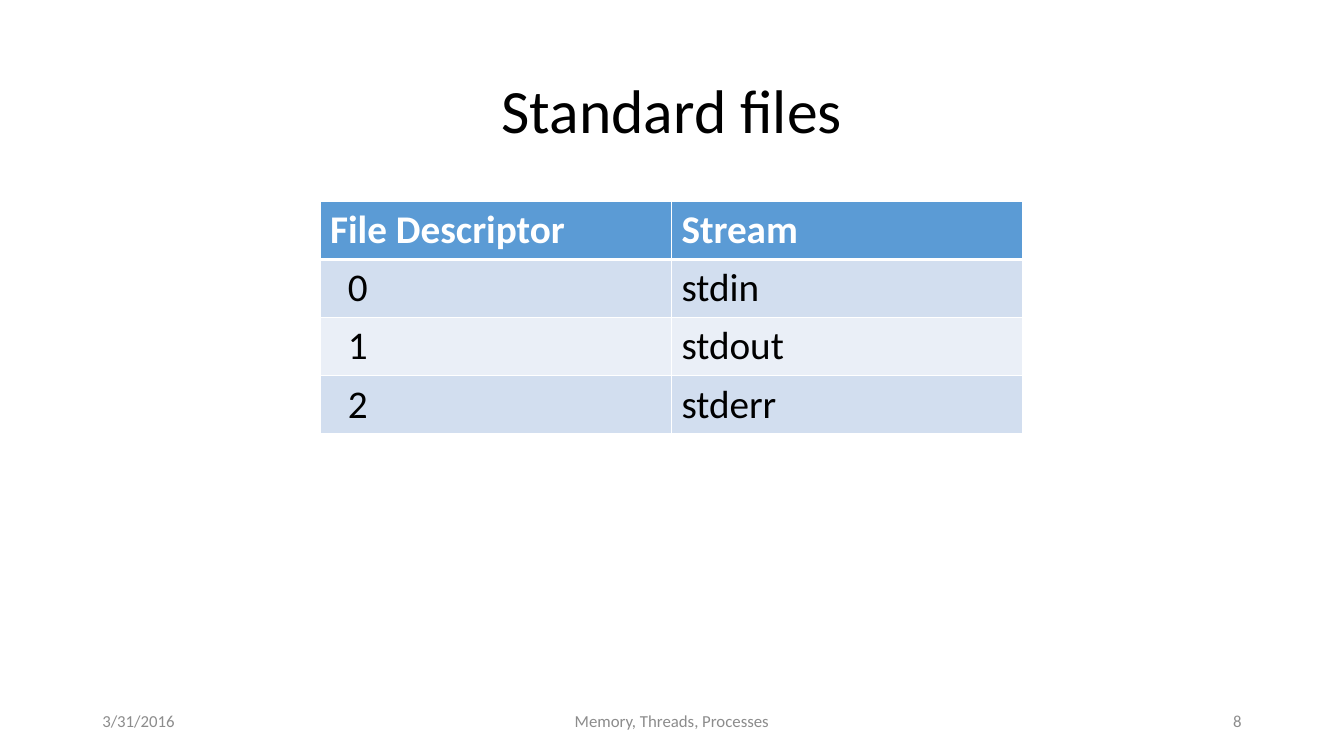
from dataclasses import dataclass

from lxml import etree
from pptx import Presentation
from pptx import util as u
from pptx.dml.color import RGBColor
from pptx.enum import text as t
from pptx.oxml import ns


@dataclass(frozen=True)
class Theme:
    font: str = "Calibri"
    ink: str = "000000"
    white: str = "FFFFFF"
    grey: str = "8C8C8C"
    head: str = "5B9BD5"
    bands: tuple[str, str] = ("D2DEEF", "EAEFF7")
    title: float = 44
    body: float = 28
    small: float = 12


@dataclass(frozen=True)
class Label:
    words: str
    box: tuple[float, float, float, float]
    size: float
    color: str
    align: t.PP_ALIGN
    pitch: float = 1.0


THEME = Theme()
FOOT, TALL = 500.4, 28.8
LABELS = [
    Label("Standard files", (66, 28.8, 828, 104.4), THEME.title, THEME.ink,
          t.PP_ALIGN.CENTER, 0.9),
    Label("3/31/2016", (66, FOOT, 216, TALL), THEME.small, THEME.grey,
          t.PP_ALIGN.LEFT),
    Label("Memory, Threads, Processes", (318, FOOT, 324, TALL), THEME.small,
          THEME.grey, t.PP_ALIGN.CENTER),
    Label("8", (678, FOOT, 216, TALL), THEME.small, THEME.grey,
          t.PP_ALIGN.RIGHT),
]
ROWS = [
    ("File Descriptor", "Stream"),
    ("0", "stdin"),
    ("1", "stdout"),
    ("2", "stderr"),
]
LEFT, TOP, WIDE, HIGH = 228.6, 144, 251, 41.4
INDENT = 19.8
THIN, THICK = 1, 3


def style(run, size: float, color: str, bold: bool = False) -> None:
    form = {"name": THEME.font, "size": u.Pt(size), "bold": bold}
    for key, value in form.items():
        setattr(run.font, key, value)
    run.font.color.rgb = RGBColor.from_string(color)


def add_label(slide, label: Label) -> None:
    frame = slide.shapes.add_textbox(*map(u.Pt, label.box)).text_frame
    form = {"word_wrap": True, "vertical_anchor": t.MSO_ANCHOR.MIDDLE}
    for key, value in form.items():
        setattr(frame, key, value)
    para = frame.paragraphs[0]
    para.alignment, para.line_spacing = label.align, label.pitch
    run = para.add_run()
    run.text = label.words
    style(run, label.size, label.color)


def add_edges(cell, top: float, bottom: float) -> None:
    """Draw white borders; they must come before the fill in the cell's XML."""
    props = cell._tc.get_or_add_tcPr()
    edges = {"L": THIN, "R": THIN, "T": top, "B": bottom}
    for spot, (side, width) in enumerate(edges.items()):
        line = etree.Element(ns.qn(f"a:ln{side}"), w=str(u.Pt(width)))
        fill = etree.SubElement(line, ns.qn("a:solidFill"))
        etree.SubElement(fill, ns.qn("a:srgbClr"), val=THEME.white)
        props.insert(spot, line)


def fill_cell(cell, words: str, row: int, col: int) -> None:
    head = row == 0
    run = cell.text_frame.paragraphs[0].add_run()
    run.text = words
    style(run, THEME.body, THEME.white if head else THEME.ink, head)
    if col == 0 and not head:
        cell.margin_left = u.Pt(INDENT)
    cell.fill.solid()
    tint = THEME.head if head else THEME.bands[(row - 1) % 2]
    cell.fill.fore_color.rgb = RGBColor.from_string(tint)
    add_edges(cell, THICK if row == 1 else THIN, THICK if head else THIN)


def add_grid(slide) -> None:
    rows, cols = len(ROWS), len(ROWS[0])
    box = (LEFT, TOP, WIDE * cols, HIGH * rows)
    grid = slide.shapes.add_table(rows, cols, *map(u.Pt, box)).table
    for row, line in enumerate(ROWS):
        for col, words in enumerate(line):
            fill_cell(grid.cell(row, col), words, row, col)


def main() -> None:
    deck = Presentation()
    deck.slide_width, deck.slide_height = u.Pt(960), u.Pt(540)
    slide = deck.slides.add_slide(deck.slide_layouts[6])
    add_grid(slide)
    for label in LABELS:
        add_label(slide, label)
    deck.save("out.pptx")


if __name__ == "__main__":
    main()
